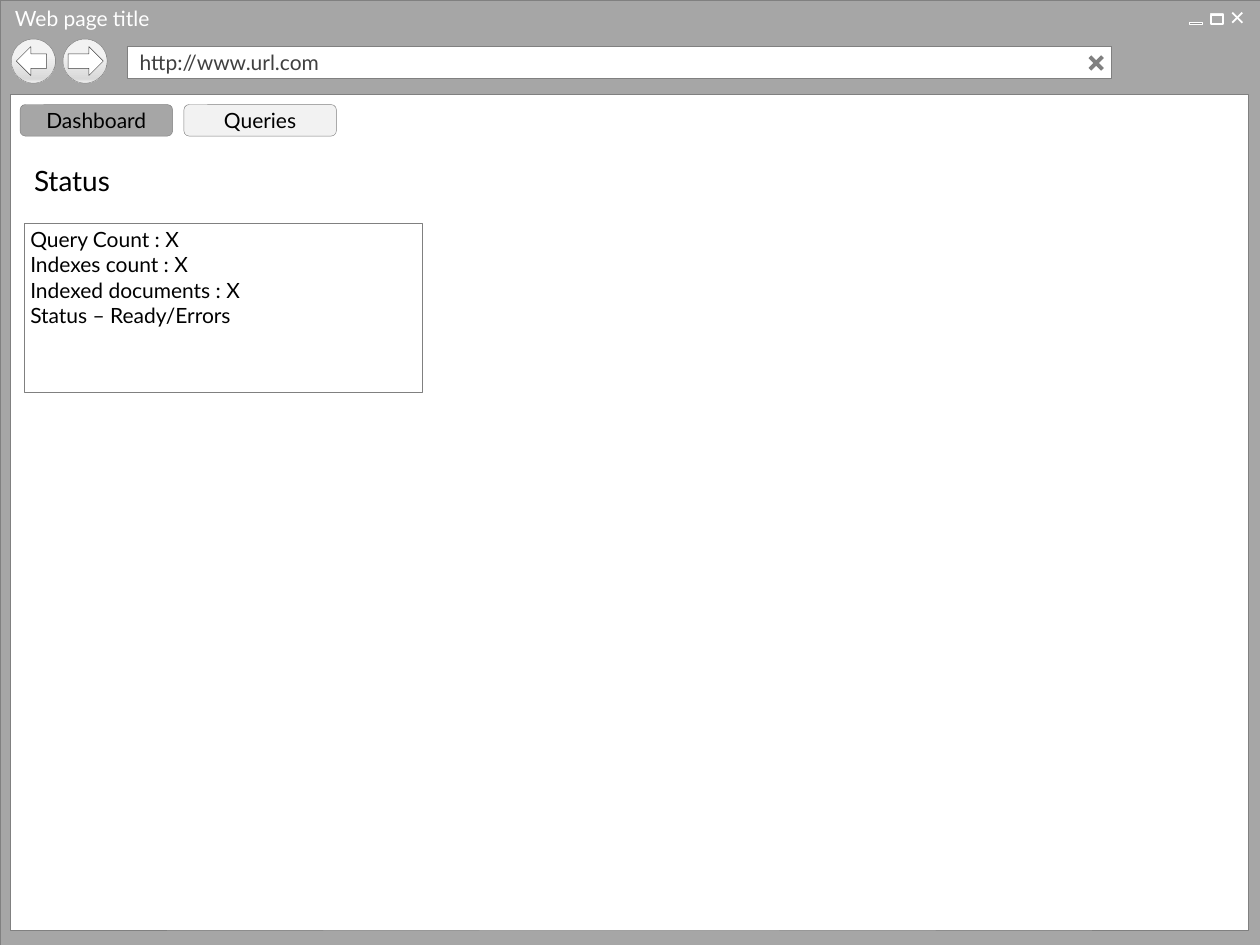
from dataclasses import dataclass

from lxml import etree
from pptx import Presentation
from pptx import util as u
from pptx.dml.color import RGBColor
from pptx.enum import shapes, text
from pptx.oxml.ns import qn

# Content
PAGE_TITLE = "Web page title"
ADDRESS = "http://www.url.com"
TABS = [("Dashboard", True), ("Queries", False)]
HEADING = "Status"
STATUS_LINES = [
    "Query Count : X",
    "Indexes count : X",
    "Indexed documents : X",
    "Status – Ready/Errors",
]


@dataclass(frozen=True)
class Theme:
    font: str = "Lato"
    body_size: int = 12
    heading_size: int = 16
    frame: str = "A6A6A6"
    border: str = "808080"
    light: str = "F2F2F2"
    shade: str = "D9D9D9"
    control: str = "919191"
    dark: str = "404040"
    white: str = "FFFFFF"
    black: str = "000000"
    hairline: float = 0.25


theme = Theme()
KIND = shapes.MSO_SHAPE
ANCHOR = text.MSO_ANCHOR
ALIGN = text.PP_ALIGN

prs = Presentation()
prs.slide_width, prs.slide_height = u.Inches(10), u.Inches(7.5)
slide = prs.slides.add_slide(prs.slide_layouts[1])


# Helpers
def rgb(value):
    return RGBColor.from_string(value)


def outline(part, color, width):
    part.line.color.rgb = rgb(color)
    part.line.width = u.Pt(width)


def add_box(kind, at, fill, line=theme.border, width=theme.hairline):
    box = slide.shapes.add_shape(kind, *map(u.Inches, at))
    box.shadow.inherit = False
    if fill:
        box.fill.solid()
        box.fill.fore_color.rgb = rgb(fill)
    else:
        box.fill.background()
    outline(box, line, width)
    return box


def add_cross(left, top, size, color, width):
    for y1, y2 in ((top, top + size), (top + size, top)):
        stroke = slide.shapes.add_connector(
            shapes.MSO_CONNECTOR.STRAIGHT,
            *map(u.Inches, (left, y1, left + size, y2)))
        outline(stroke, color, width)
        etree.SubElement(stroke.element.spPr, qn("a:effectLst"))


def shade_vertically(part, stops):
    part.fill.gradient()
    grad = part.element.spPr.find(qn("a:gradFill"))
    for child in list(grad):
        grad.remove(child)
    stop_list = etree.SubElement(grad, qn("a:gsLst"))
    for percent, color in stops:
        stop = etree.SubElement(stop_list, qn("a:gs"), pos=str(percent * 1000))
        etree.SubElement(stop, qn("a:srgbClr"), val=color)
    etree.SubElement(grad, qn("a:lin"), ang="5400000", scaled="0")


def write(part, lines, color=theme.black, size=theme.body_size,
          align=ALIGN.LEFT, anchor=ANCHOR.MIDDLE,
          insets=(0.1, 0.02, 0.1, 0.03), wrap=True):
    frame = part.text_frame
    frame.text = "\n".join(lines)
    frame.word_wrap = wrap
    frame.auto_size = text.MSO_AUTO_SIZE.NONE
    frame.vertical_anchor = anchor
    (frame.margin_left, frame.margin_top,
     frame.margin_right, frame.margin_bottom) = map(u.Inches, insets)
    for paragraph in frame.paragraphs:
        paragraph.alignment = align
        paragraph.space_before = u.Pt(0)
        paragraph.font.name = theme.font
        paragraph.font.size = u.Pt(size)
        paragraph.font.color.rgb = rgb(color)


def place(part, at):
    part.left, part.top, part.width, part.height = map(u.Inches, at)
    slide.shapes.element.append(part.element)  # bring to front


# Browser window and its title
add_box(KIND.RECTANGLE, (0, 0, 10, 7.5), theme.frame)
window_title = slide.shapes.add_textbox(
    *map(u.Inches, (0.02, 0.02, 1.29, 0.25)))
write(window_title, [PAGE_TITLE], theme.white, wrap=False)

# Back and forward buttons
for button_left, arrow, arrow_left, arrow_width in (
        (0.09, KIND.LEFT_ARROW, 0.13, 0.24),
        (0.5, KIND.RIGHT_ARROW, 0.54, 0.28)):
    button = add_box(KIND.OVAL, (button_left, 0.31, 0.35, 0.35), theme.light)
    shade_vertically(
        button, [(36, theme.light), (91, theme.shade), (100, theme.light)])
    add_box(arrow, (arrow_left, 0.37, arrow_width, 0.23),
            theme.white, theme.dark)

# Window controls: close, maximize, minimize
add_cross(9.78, 0.1, 0.08, theme.white, 1)
add_box(KIND.RECTANGLE, (9.61, 0.11, 0.1, 0.08), None, theme.white, 1)
for bar_left, bar_top in ((9.61, 0.11), (9.44, 0.18)):
    add_box(KIND.RECTANGLE, (bar_left, bar_top, 0.1, 0.01),
            theme.control, theme.white)

# Page area and address bar
add_box(KIND.RECTANGLE, (0.08, 0.75, 9.83, 6.63), theme.white)
address_bar = add_box(KIND.RECTANGLE, (1.01, 0.37, 7.81, 0.25), theme.white)
write(address_bar, [ADDRESS], theme.dark, insets=(0.1, 0.05, 0.1, 0.05))
add_cross(8.65, 0.45, 0.1, theme.border, 2.25)

# Tabs
TAB_LEFT, TAB_WIDTH, TAB_GAP = 0.16, 1.21, 0.09
for i, (label, active) in enumerate(TABS):
    tab = add_box(
        KIND.ROUNDED_RECTANGLE,
        (TAB_LEFT + i * (TAB_WIDTH + TAB_GAP), 0.83, TAB_WIDTH, 0.25),
        theme.frame if active else theme.light)
    write(tab, [label], align=ALIGN.CENTER, insets=(0.1, 0, 0.1, 0.01))

# Status list
status_list = slide.placeholders[1]
place(status_list, (0.19, 1.77, 3.16, 1.34))
status_list.fill.solid()
status_list.fill.fore_color.rgb = rgb(theme.white)
outline(status_list, theme.border, theme.hairline)
write(status_list, STATUS_LINES, anchor=ANCHOR.TOP, insets=(0.05, 0.03, 0, 0))
for paragraph in status_list.text_frame.paragraphs:
    properties = paragraph._p.get_or_add_pPr()
    properties.set("marL", "0")
    properties.set("indent", "0")
    bullet_off = etree.Element(qn("a:buNone"))
    properties.find(qn("a:defRPr")).addprevious(bullet_off)

# Heading
heading = slide.shapes.title
place(heading, (0.17, 1.28, 0.89, 0.32))
write(heading, [HEADING], size=theme.heading_size)

prs.save("out.pptx")
